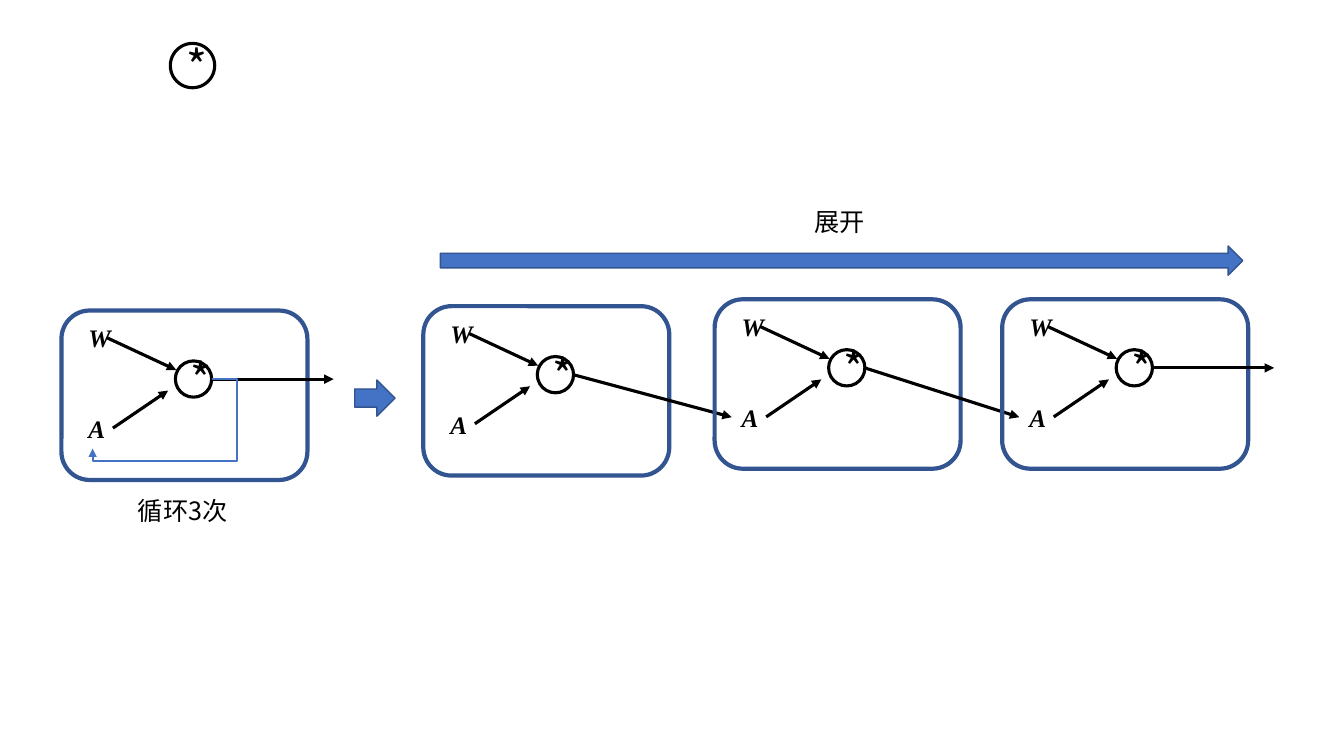
import pptx
import pptx.dml.color
import pptx.enum.shapes
import pptx.enum.text
import pptx.oxml
import pptx.oxml.ns
import pptx.util
from lxml import etree

Pt = pptx.util.Pt
RGBColor = pptx.dml.color.RGBColor
Shapes = pptx.enum.shapes.MSO_SHAPE
Connectors = pptx.enum.shapes.MSO_CONNECTOR
Alignment = pptx.enum.text.PP_ALIGN
Anchor = pptx.enum.text.MSO_ANCHOR
AutoSize = pptx.enum.text.MSO_AUTO_SIZE
qn = pptx.oxml.ns.qn

BLACK = RGBColor(0x00, 0x00, 0x00)
WHITE = RGBColor(0xFF, 0xFF, 0xFF)
BLUE = RGBColor(0x44, 0x72, 0xC4)
DARK_BLUE = RGBColor(0x32, 0x54, 0x91)
CHINESE_FONT = "Noto Sans CJK SC"
SYMBOL_FONT = "Times New Roman"

CELL_WIDTH, CELL_HEIGHT = 175.7, 121
LOOP_CELL = (43.9, 221.8)
UNROLLED_CELLS = [(302.4, 218.7), (510.5, 213.8), (715.9, 213.8)]
OUTPUT_OFFSET = (107.3, 49)
INPUT_OFFSET = (12.2, 84.2)


def write_text(shape, text, size=18, font=CHINESE_FONT, bold=False, italic=False,
               align=Alignment.LEFT):
    shape.text_frame.word_wrap = True
    paragraph = shape.text_frame.paragraphs[0]
    paragraph.alignment = align
    run = paragraph.add_run()
    run.text = text
    run.font.size = Pt(size)
    run.font.name = font
    run.font.bold = bold
    run.font.italic = italic
    run.font.color.rgb = BLACK
    east_asian = etree.SubElement(run.font._element, qn("a:ea"))
    east_asian.set("typeface", font)


def add_label(slide, text, left, top, width, **text_format):
    box = slide.shapes.add_textbox(Pt(left), Pt(top), Pt(width), Pt(29.1))
    write_text(box, text, **text_format)
    box.text_frame.auto_size = AutoSize.SHAPE_TO_FIT_TEXT


def add_outlined(slide, kind, left, top, width, height, line, weight, fill=None):
    shape = slide.shapes.add_shape(kind, Pt(left), Pt(top), Pt(width), Pt(height))
    shape.shadow.inherit = False
    if fill is None:
        shape.fill.background()
    else:
        shape.fill.solid()
        shape.fill.fore_color.rgb = fill
    shape.line.color.rgb = line
    shape.line.width = Pt(weight)
    return shape


def add_operator(slide, left, top, diameter):
    circle = add_outlined(slide, Shapes.OVAL, left, top, diameter, diameter, BLACK, 2.25, WHITE)
    circle.text_frame.vertical_anchor = Anchor.MIDDLE
    write_text(circle, "*", size=32, align=Alignment.CENTER)


def add_arrow(slide, start, end, color=BLACK, weight=2.25, kind=Connectors.STRAIGHT):
    arrow = slide.shapes.add_connector(kind, Pt(start[0]), Pt(start[1]), Pt(end[0]), Pt(end[1]))
    arrow.line.color.rgb = color
    arrow.line.width = Pt(weight)
    head = etree.SubElement(arrow.line._get_or_add_ln(), qn("a:tailEnd"))
    head.set("type", "triangle")
    etree.SubElement(arrow._element.spPr, qn("a:effectLst"))
    return arrow


def add_feedback_arrow(slide, start, end):
    arrow = add_arrow(slide, start, end, BLUE, 1.5, Connectors.ELBOW)
    geometry = arrow._element.spPr.find(qn("a:prstGeom"))
    geometry.set("prst", "bentConnector4")
    adjustments = geometry.find(qn("a:avLst"))
    for name, value in (("adj1", -21200), ("adj2", 118000)):
        guide = etree.SubElement(adjustments, qn("a:gd"))
        guide.set("name", name)
        guide.set("fmla", f"val {value}")


def shift(origin, offset):
    return origin[0] + offset[0], origin[1] + offset[1]


def add_cell(slide, origin, output_end):
    left, top = origin
    add_outlined(slide, Shapes.ROUNDED_RECTANGLE, left, top, CELL_WIDTH, CELL_HEIGHT,
                 DARK_BLUE, 3)
    add_arrow(slide, shift(origin, (32.4, 19.4)), shift(origin, (82, 42.5)))
    add_arrow(slide, shift(origin, (36.8, 84)), shift(origin, (76.2, 57.2)))
    for symbol, drop in (("W", 5), ("A", 69.8)):
        add_label(slide, symbol, left + 12.2, top + drop, 20.2,
                  font=SYMBOL_FONT, bold=True, italic=True)
    add_arrow(slide, shift(origin, OUTPUT_OFFSET), output_end)
    add_operator(slide, left + 81.4, top + 36, 25.9)


def main():
    presentation = pptx.Presentation()
    presentation.slide_width = Pt(960)
    presentation.slide_height = Pt(540)
    slide = presentation.slides.add_slide(presentation.slide_layouts[6])

    add_operator(slide, 121.7, 31, 31.7)

    loop_output = shift(LOOP_CELL, OUTPUT_OFFSET)
    add_cell(slide, LOOP_CELL, (238.3, loop_output[1]))
    add_feedback_arrow(slide, loop_output, (66.2, 320.4))
    add_label(slide, "循环3次", 91.4, 350.6, 119.5)

    add_outlined(slide, Shapes.RIGHT_ARROW, 253.4, 271.4, 28.8, 25.9, DARK_BLUE, 1, BLUE)
    add_outlined(slide, Shapes.RIGHT_ARROW, 314.6, 175.7, 573.1, 20.9, DARK_BLUE, 1, BLUE)
    add_label(slide, "展开", 574.6, 144, 172.8)

    last_output = shift(UNROLLED_CELLS[-1], OUTPUT_OFFSET)
    output_ends = [shift(cell, INPUT_OFFSET) for cell in UNROLLED_CELLS[1:]]
    output_ends.append((910.1, last_output[1]))
    for cell, output_end in zip(UNROLLED_CELLS, output_ends):
        add_cell(slide, cell, output_end)

    presentation.save("out.pptx")


if __name__ == "__main__":
    main()
